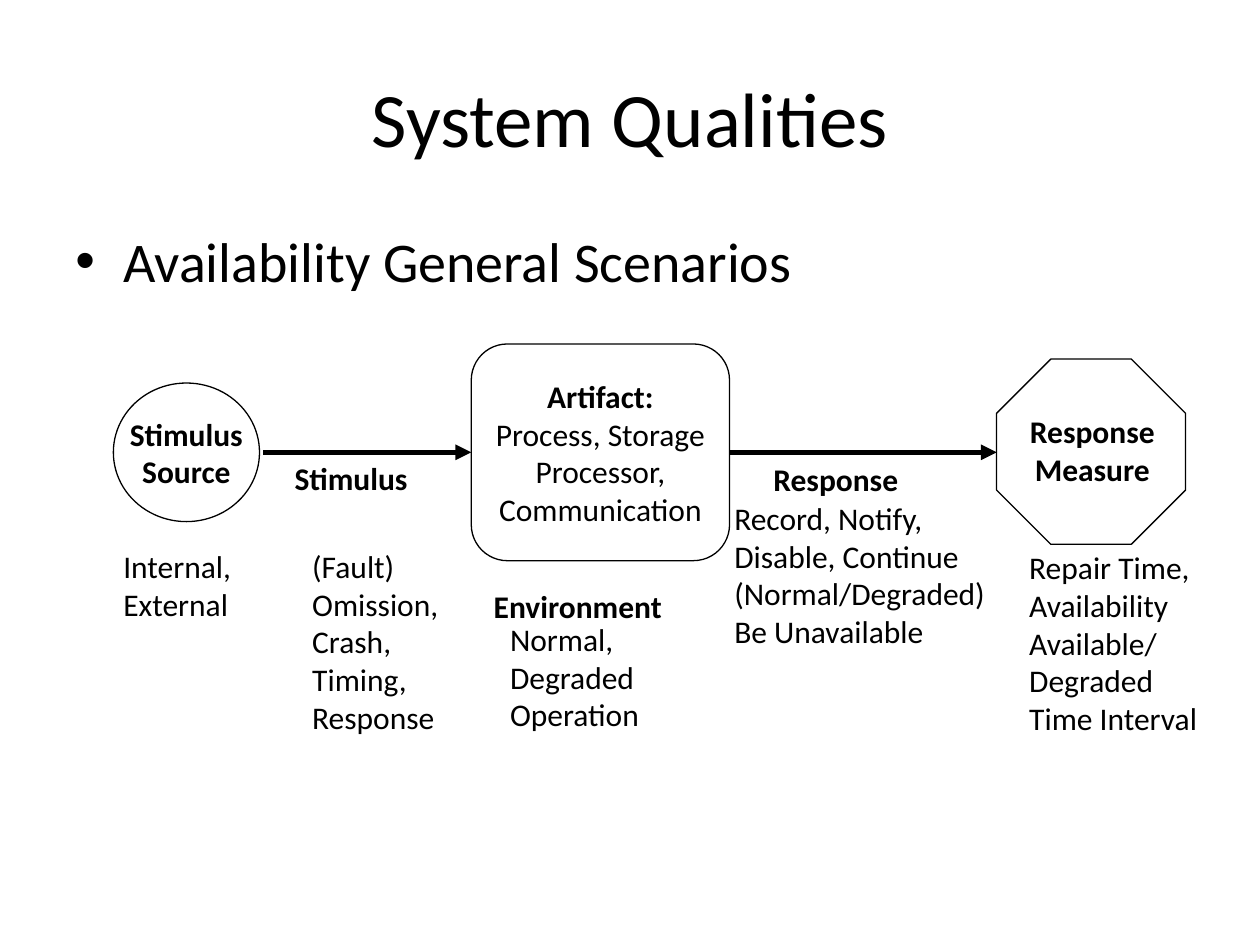
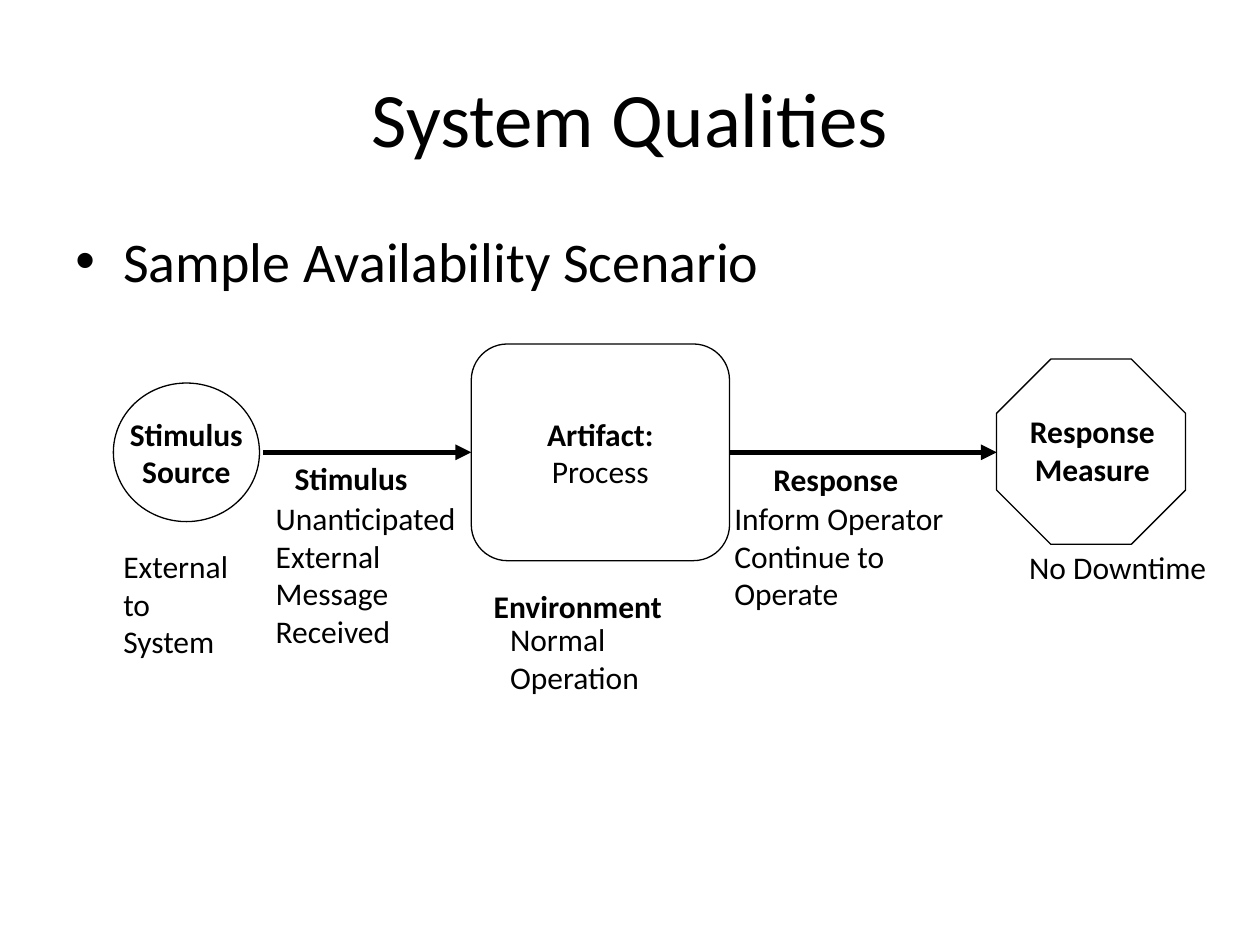
from dataclasses import dataclass
from typing import NamedTuple

from lxml import etree
from pptx import Presentation
from pptx.dml.color import RGBColor
from pptx.enum.shapes import MSO_CONNECTOR, MSO_SHAPE
from pptx.enum.text import MSO_ANCHOR, MSO_AUTO_SIZE, PP_ALIGN
from pptx.oxml.ns import qn
from pptx.shapes.autoshape import Shape
from pptx.slide import Slide
from pptx.text.text import TextFrame
from pptx.util import Inches, Pt

STRAIGHT = MSO_CONNECTOR.STRAIGHT
ELLIPSE = MSO_SHAPE.OVAL
ROUNDED = MSO_SHAPE.ROUNDED_RECTANGLE
OCTAGON = MSO_SHAPE.OCTAGON
TOP = MSO_ANCHOR.TOP
MIDDLE = MSO_ANCHOR.MIDDLE
LEFT = PP_ALIGN.LEFT
CENTER = PP_ALIGN.CENTER
GROW = MSO_AUTO_SIZE.SHAPE_TO_FIT_TEXT
LEFT_SIDE, RIGHT_SIDE = 1, 3


@dataclass(frozen=True)
class Theme:
    font: str = "Calibri"
    ink: RGBColor = RGBColor(0, 0, 0)
    paper: RGBColor = RGBColor(255, 255, 255)
    title_size: int = 44
    bullet_size: int = 32
    diagram_size: int = 18
    outline: float = 0.75
    arrow: float = 3


THEME = Theme()
ARROW_Y = 3.59
TITLE = "System Qualities"


class Box(NamedTuple):
    left: float
    top: float
    width: float
    height: float

    def lengths(self) -> tuple:
        return tuple(Inches(value) for value in self)


class Label(NamedTuple):
    left: float
    top: float
    width: float
    lines: tuple[str, ...]
    bold: bool = False
    align: PP_ALIGN = LEFT


@dataclass(frozen=True)
class Scenario:
    heading: str
    artifact: tuple[str, ...]
    details: tuple[Label, ...]


SOURCE_BOX = Box(0.9, 3.04, 1.16, 1.1)
ARTIFACT_BOX = Box(3.74, 2.73, 2.05, 1.72)
MEASURE_BOX = Box(7.91, 2.85, 1.5, 1.47)

PART_LABELS = (
    Label(3.82, 4.61, 1.73, ("Environment",), True),
    Label(6.04, 3.6, 1.4, ("Response",), True),
    Label(2.24, 3.59, 1.26, ("Stimulus",), True),
    Label(7.97, 3.22, 1.4, ("Response", "Measure"), True, CENTER),
)

SCENARIOS = (
    Scenario(
        "Availability General Scenarios",
        ("Process, Storage", "Processor,", "Communication"),
        (
            Label(0.88, 4.29, 1.12, ("Internal,", "External")),
            Label(2.38, 4.29, 1.33, ("(Fault)", "Omission,", "Crash,", "Timing,", "Response")),
            Label(3.95, 4.87, 1.3, ("Normal,", "Degraded", "Operation")),
            Label(5.73, 3.91, 2.34, ("Record, Notify,", "Disable, Continue",
                                     "(Normal/Degraded)", "Be Unavailable")),
            Label(8.07, 4.3, 1.65, ("Repair Time,", "Availability", "Available/",
                                    "Degraded", "Time Interval")),
        ),
    ),
    Scenario(
        "Sample Availability Scenario",
        ("Process",),
        (
            Label(0.88, 4.29, 1.19, ("External", "to", "System")),
            Label(2.09, 3.91, 1.73, ("Unanticipated", "External", "Message", "Received")),
            Label(3.95, 4.87, 1.3, ("Normal", "Operation")),
            Label(5.73, 3.91, 1.97, ("Inform Operator", "Continue to", "Operate")),
            Label(8.07, 4.3, 1.7, ("No Downtime",)),
        ),
    ),
)


def write_lines(frame: TextFrame, lines: tuple[str, ...], size: int, align: PP_ALIGN,
                bold_count: int = 0) -> None:
    frame.text = "\n".join(lines)
    for index, paragraph in enumerate(frame.paragraphs):
        paragraph.alignment = align
        paragraph.font.name = THEME.font
        paragraph.font.size = Pt(size)
        paragraph.font.color.rgb = THEME.ink
        paragraph.font.bold = index < bold_count


def add_text(slide: Slide, box: Box, lines: tuple[str, ...], size: int,
             align: PP_ALIGN = LEFT, anchor: MSO_ANCHOR = TOP, bold_count: int = 0) -> TextFrame:
    frame = slide.shapes.add_textbox(*box.lengths()).text_frame
    frame.word_wrap = True
    frame.vertical_anchor = anchor
    write_lines(frame, lines, size, align, bold_count)
    return frame


def add_label(slide: Slide, label: Label) -> None:
    count = len(label.lines)
    box = Box(label.left, label.top, label.width, 0.1 + 0.3 * count)
    frame = add_text(slide, box, label.lines, THEME.diagram_size, label.align,
                     bold_count=count if label.bold else 0)
    frame.word_wrap = False
    frame.auto_size = GROW


def add_bullet(slide: Slide, text: str) -> None:
    frame = add_text(slide, Box(0.5, 1.75, 9, 4.95), (text,), THEME.bullet_size)
    properties = frame.paragraphs[0]._p.get_or_add_pPr()
    properties.set("marL", str(Inches(0.38)))
    properties.set("indent", str(Inches(-0.38)))
    bullet = etree.Element(qn("a:buChar"), char="•")
    properties.insert(0, bullet)
    bullet_font = etree.Element(qn("a:buFont"), typeface="Arial")
    properties.insert(0, bullet_font)


def add_node(slide: Slide, kind: MSO_SHAPE, box: Box, lines: tuple[str, ...] = (),
             bold_count: int = 0) -> Shape:
    shape = slide.shapes.add_shape(kind, *box.lengths())
    shape.shadow.inherit = False
    shape.fill.background()
    shape.line.color.rgb = THEME.ink
    shape.line.width = Pt(THEME.outline)
    if lines:
        frame = shape.text_frame
        frame.word_wrap = False
        frame.vertical_anchor = MIDDLE
        write_lines(frame, lines, THEME.diagram_size, CENTER, bold_count)
    return shape


def add_arrow(slide: Slide, start: float, end: float, artifact: Shape) -> None:
    connector = slide.shapes.add_connector(
        STRAIGHT, Inches(start), Inches(ARROW_Y), Inches(end), Inches(ARROW_Y))
    if end == ARTIFACT_BOX.left:
        connector.end_connect(artifact, LEFT_SIDE)
    else:
        connector.begin_connect(artifact, RIGHT_SIDE)
    connector.line.color.rgb = THEME.ink
    connector.line.width = Pt(THEME.arrow)
    etree.SubElement(connector.line._get_or_add_ln(), qn("a:tailEnd"), type="triangle")
    etree.SubElement(connector._element.spPr, qn("a:effectLst"))


def add_scenario_slide(presentation: Presentation, scenario: Scenario) -> None:
    slide = presentation.slides.add_slide(presentation.slide_layouts[6])
    slide.background.fill.solid()
    slide.background.fill.fore_color.rgb = THEME.paper
    add_text(slide, Box(0.5, 0.3, 9, 1.25), (TITLE,), THEME.title_size, CENTER, MIDDLE)
    add_bullet(slide, scenario.heading)
    artifact = add_node(slide, ROUNDED, ARTIFACT_BOX, ("Artifact:", *scenario.artifact), 1)
    add_arrow(slide, ARTIFACT_BOX.left + ARTIFACT_BOX.width, MEASURE_BOX.left, artifact)
    add_arrow(slide, 2.09, ARTIFACT_BOX.left, artifact)
    add_node(slide, OCTAGON, MEASURE_BOX)
    add_node(slide, ELLIPSE, SOURCE_BOX, ("Stimulus", "Source"), 2)
    for label in PART_LABELS + scenario.details:
        add_label(slide, label)


def main() -> None:
    presentation = Presentation()
    presentation.slide_width = Inches(10)
    presentation.slide_height = Inches(7.5)
    for scenario in SCENARIOS:
        add_scenario_slide(presentation, scenario)
    presentation.save("out.pptx")


if __name__ == "__main__":
    main()
